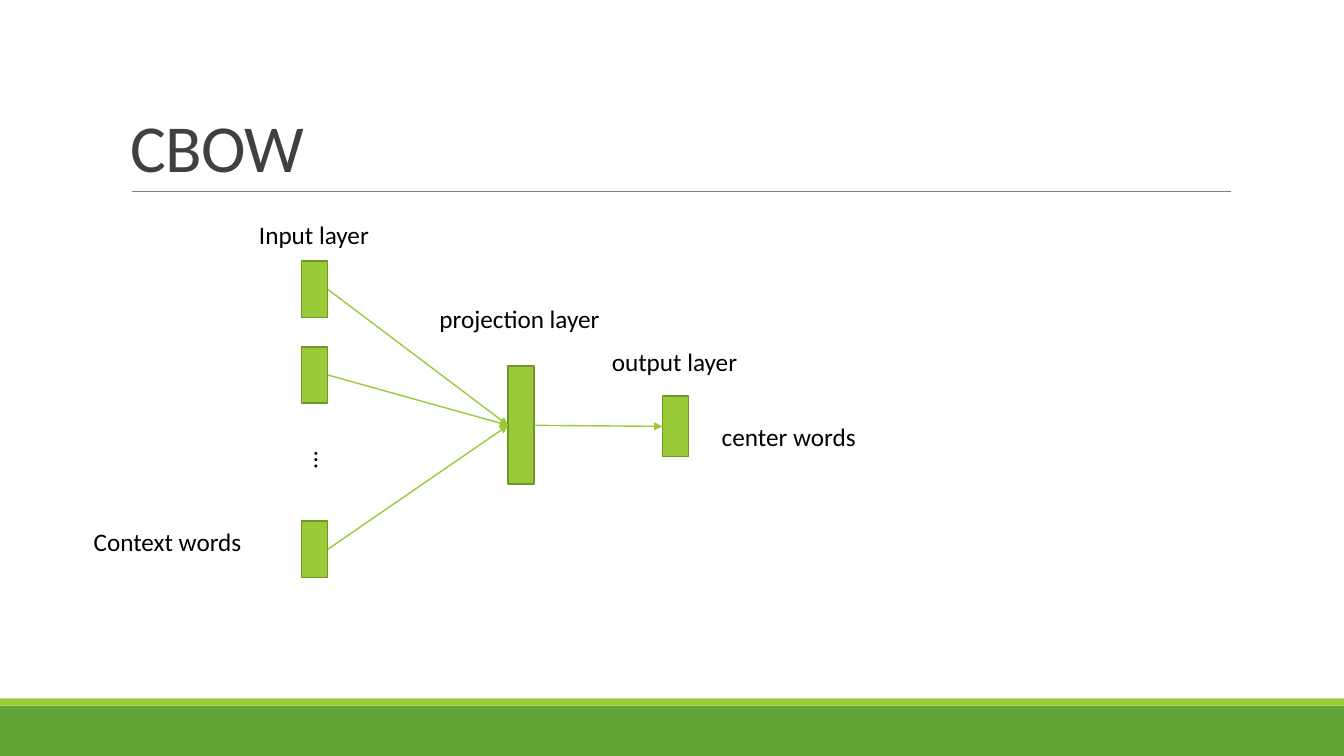
from lxml.etree import SubElement
from pptx import Presentation
from pptx.dml.color import RGBColor
from pptx.enum.shapes import MSO_CONNECTOR as Connector, MSO_SHAPE as Shape
from pptx.enum.text import MSO_ANCHOR as Anchor
from pptx.oxml.ns import qn
from pptx.util import Inches, Pt

WIDTH, HEIGHT = 13.33, 7.5
FONT = "Calibri"
LIME, OLIVE, GREEN = "99CB38", "719629", "63A537"
BLACK, CHARCOAL, GRAY = "000000", "404040", "808080"
NODE_WIDTH, INPUT_HEIGHT = 0.26, 0.56
INPUT_COLUMN, PROJECTION_COLUMN, OUTPUT_COLUMN = 3.12, 5.17, 6.7
INPUT_ROWS = (2.87, 3.72, 5.45)
MIDDLE_ROW = 4.22
LABEL_HEIGHT = 0.4
LABELS = (
    ("Input layer", 2.47, 2.13, 1.31),
    ("projection layer", 4.26, 2.96, 1.81),
    ("output layer", 5.97, 3.39, 1.46),
    ("Context words", 0.83, 5.17, 1.68),
    ("center words", 7.06, 4.13, 1.55),
)


def color(hex_code):
    """Turn a hex string into a colour."""
    return RGBColor.from_string(hex_code)


def add_box(slide, left, top, width, height, fill, outline=None):
    """Add a filled rectangle, outlined if a colour is given."""
    box = slide.shapes.add_shape(
        Shape.RECTANGLE, *map(Inches, (left, top, width, height)))
    box.shadow.inherit = False
    box.fill.solid()
    box.fill.fore_color.rgb = color(fill)
    if outline:
        box.line.color.rgb = color(outline)
        box.line.width = Pt(1.25)
    else:
        box.line.fill.background()
    return box


def add_node(slide, column, row, height):
    """Add a network node centred on a column and a row."""
    return add_box(slide, column - NODE_WIDTH / 2, row - height / 2,
                   NODE_WIDTH, height, LIME, OLIVE)


def add_line(slide, start, end, stroke, weight):
    """Add a straight line between two points."""
    line = slide.shapes.add_connector(
        Connector.STRAIGHT, *map(Inches, (*start, *end)))
    line.line.color.rgb = color(stroke)
    line.line.width = Pt(weight)
    SubElement(line._element.spPr, qn("a:effectLst"))
    return line


def add_arrow(slide, source, target):
    """Join the right side of one node to the left side of another."""
    arrow = add_line(slide, (0, 0), (1, 1), LIME, 1)
    arrow.begin_connect(source, 3)
    arrow.end_connect(target, 1)
    SubElement(arrow.line._get_or_add_ln(), qn("a:tailEnd"), type="triangle")


def add_text(slide, text, left, top, width, height=LABEL_HEIGHT,
             size=18, ink=BLACK):
    """Add a one-line text box."""
    label = slide.shapes.add_textbox(
        *map(Inches, (left, top, width, height)))
    frame = label.text_frame
    frame.word_wrap = False
    frame.text = text
    font = frame.paragraphs[0].runs[0].font
    font.name, font.size = FONT, Pt(size)
    font.color.rgb = color(ink)
    return frame


def add_title(slide, text):
    """Add the heading with tightened letters and its rule."""
    frame = add_text(slide, text, 1.2, 0.31, 11, 1.59, 48, CHARCOAL)
    frame.word_wrap = True
    frame.vertical_anchor = Anchor.BOTTOM
    heading = frame.paragraphs[0]
    heading.line_spacing = 0.85
    heading.runs[0].font._element.set("spc", "-50")


def add_frame(slide):
    """Add the footer bands and the rule under the title."""
    add_box(slide, 0, 7, WIDTH, 0.5, GREEN)
    add_box(slide, 0, 6.93, WIDTH, 0.07, LIME)
    add_line(slide, (1.31, 1.9), (12.21, 1.9), GRAY, 0.5)


def add_network(slide):
    """Add the three layers and the arrows between them."""
    inputs = [add_node(slide, INPUT_COLUMN, row, INPUT_HEIGHT)
              for row in INPUT_ROWS]
    projection = add_node(slide, PROJECTION_COLUMN, MIDDLE_ROW, 1.17)
    output = add_node(slide, OUTPUT_COLUMN, MIDDLE_ROW + 0.01, 0.6)
    ellipsis = add_text(slide, "…", 2.92, 4.38, 0.5, 0.27)
    ellipsis._txBody.bodyPr.set("vert", "eaVert")
    for context_word in inputs:
        add_arrow(slide, context_word, projection)
    add_arrow(slide, projection, output)


def main():
    """Build and save the slide."""
    deck = Presentation()
    deck.slide_width, deck.slide_height = Inches(WIDTH), Inches(HEIGHT)
    slide = deck.slides.add_slide(deck.slide_layouts[6])
    add_frame(slide)
    add_title(slide, "CBOW")
    add_network(slide)
    for label in LABELS:
        add_text(slide, *label)
    deck.save("out.pptx")


if __name__ == "__main__":
    main()
